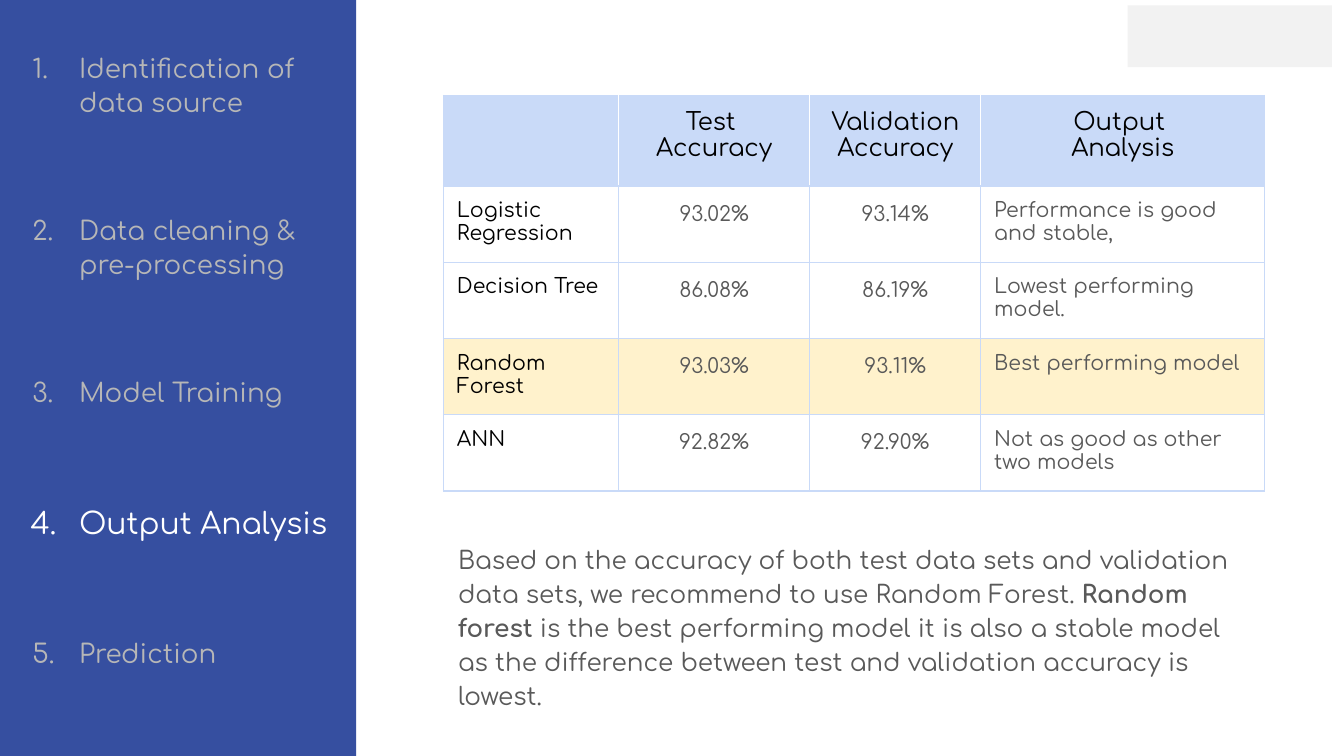
import dataclasses

import lxml.etree
import pptx
import pptx.dml.color
import pptx.enum.shapes
import pptx.enum.text
import pptx.oxml.ns
import pptx.util

Pt = pptx.util.Pt
qn = pptx.oxml.ns.qn
CENTER = pptx.enum.text.PP_ALIGN.CENTER
SIDES = ("left", "top", "right", "bottom")


@dataclasses.dataclass(frozen=True)
class Theme:
    font: str = "Comfortaa"
    panel: str = "364FA0"
    dim: str = "B7B7B7"
    white: str = "FFFFFF"
    black: str = "000000"
    grey: str = "595959"
    head: str = "C9DAF8"
    best: str = "FFF2CC"
    tag: str = "F2F2F2"
    step: float = 14
    active: float = 16
    title: float = 13
    cell: float = 11
    body: float = 13.2
    inset: float = 7.2
    line: float = 0.75


def color(code):
    return pptx.dml.color.RGBColor.from_string(code)


class Deck:
    def __init__(self, theme):
        self.theme = theme
        self.file = pptx.Presentation()
        self.file.slide_width, self.file.slide_height = Pt(720), Pt(405)
        self.slide = self.file.slides.add_slide(self.file.slide_layouts[6])

    def rect(self, box, fill):
        shape = self.slide.shapes.add_shape(
            pptx.enum.shapes.MSO_SHAPE.RECTANGLE, *map(Pt, box))
        shape.shadow.inherit = False
        shape.fill.solid()
        shape.fill.fore_color.rgb = color(fill)
        shape.line.fill.background()

    def inset(self, holder):
        for side in SIDES:
            setattr(holder, f"margin_{side}", Pt(self.theme.inset))

    def frame(self, box):
        frame = self.slide.shapes.add_textbox(*map(Pt, box)).text_frame
        frame.word_wrap = True
        self.inset(frame)
        return frame

    def label(self, para, text, size, fill, bold=False):
        """Add one run for each line of text, with breaks between."""
        for index, part in enumerate(text.split("\n")):
            if index:
                para.add_line_break()
            run = para.add_run()
            run.text = part
            font = run.font
            font.name, font.size, font.bold = self.theme.font, Pt(size), bold
            font.color.rgb = color(fill)

    def number(self, para, indent, fill):
        props = para._p.get_or_add_pPr()
        props.set("marL", str(Pt(36)))
        props.set("indent", str(-Pt(indent)))
        tint = lxml.etree.SubElement(props, qn("a:buClr"))
        lxml.etree.SubElement(tint, qn("a:srgbClr"), val=fill)
        lxml.etree.SubElement(props, qn("a:buFont"), typeface=self.theme.font)
        lxml.etree.SubElement(props, qn("a:buAutoNum"), type="arabicPeriod")

    def steps(self, box, items, active):
        theme = self.theme
        frame = self.frame(box)
        for index, text in enumerate(items):
            live = index == active
            size = theme.active if live else theme.step
            fill = theme.white if live else theme.dim
            para = frame.add_paragraph() if index else frame.paragraphs[0]
            self.number(para, 26 if live else 25, fill)
            para.line_spacing = 1.08
            if index:
                para.space_before = Pt(50.5)
            self.label(para, text, size, fill)

    def note(self, box, parts):
        para = self.frame(box).paragraphs[0]
        para.line_spacing = 1.15
        for text, bold in parts:
            self.label(para, text, self.theme.body, self.theme.grey, bold)

    def border(self, cell, sides):
        props = cell._tc.get_or_add_tcPr()
        for side, fill in sides.items():
            line = lxml.etree.SubElement(
                props, qn(f"a:ln{side}"), w=str(Pt(self.theme.line)))
            solid = lxml.etree.SubElement(line, qn("a:solidFill"))
            lxml.etree.SubElement(solid, qn("a:srgbClr"), val=fill)

    def grid(self, spot, widths, heights, rows, best):
        theme = self.theme
        table = self.slide.shapes.add_table(
            len(rows), len(widths), *map(Pt, spot),
            Pt(sum(widths)), Pt(sum(heights))).table
        table.first_row = table.horz_banding = False
        for column, width in zip(table.columns, widths):
            column.width = Pt(width)
        last = len(widths) - 1
        for r, row in enumerate(rows):
            table.rows[r].height = Pt(heights[r])
            for c, text in enumerate(row):
                cell = table.cell(r, c)
                sides = dict.fromkeys("LRTB", theme.head)
                if r == 0 and c > 0:
                    sides["L"] = theme.white
                if r == 0 and c < last:
                    sides["R"] = theme.white
                self.border(cell, sides)
                fill = {0: theme.head, best: theme.best}.get(r)
                if fill:
                    cell.fill.solid()
                    cell.fill.fore_color.rgb = color(fill)
                else:
                    cell.fill.background()
                self.inset(cell)
                if not text:
                    continue
                para = cell.text_frame.paragraphs[0]
                if r == 0 or 0 < c < last:
                    para.alignment = CENTER
                if r and 0 < c < last:
                    para.line_spacing = 1.15
                    para.space_after = Pt(12)
                size = theme.cell if r else theme.title
                ink = theme.grey if r and c else theme.black
                self.label(para, text, size, ink)


def main():
    theme = Theme()
    deck = Deck(theme)
    deck.rect((-0.7, 0, 191.5, 405), theme.panel)
    deck.steps((-0.7, 19.4, 191.5, 339), [
        "Identification of \ndata source",
        "Data cleaning & pre-processing",
        "Model Training",
        "Output Analysis",
        "Prediction",
    ], active=3)
    deck.grid((237.6, 51.1), (93.8, 102.4, 91.6, 152.2), [48.6] + [40.7] * 4, [
        ("", "Test \nAccuracy", "Validation\nAccuracy", "Output \nAnalysis"),
        ("Logistic Regression", "93.02%", "93.14%",
         "Performance is good and stable,"),
        ("Decision Tree", "86.08%", "86.19%", "Lowest performing model."),
        ("Random Forest", "93.03%", "93.11%", "Best performing model"),
        ("ANN", "92.82%", "92.90%", "Not as good as other two models"),
    ], best=3)
    deck.note((238.3, 282.2, 440, 93.6), [
        ("Based on the accuracy of both test data sets and validation data "
         "sets, we recommend to use Random Forest. ", False),
        ("Random forest", True),
        (" is the best performing model it is also a stable model as the "
         "difference between test and validation accuracy is lowest.", False),
    ])
    deck.rect((604.1, 2.9, 109.4, 33.1), theme.tag)
    deck.file.save("out.pptx")


if __name__ == "__main__":
    main()
